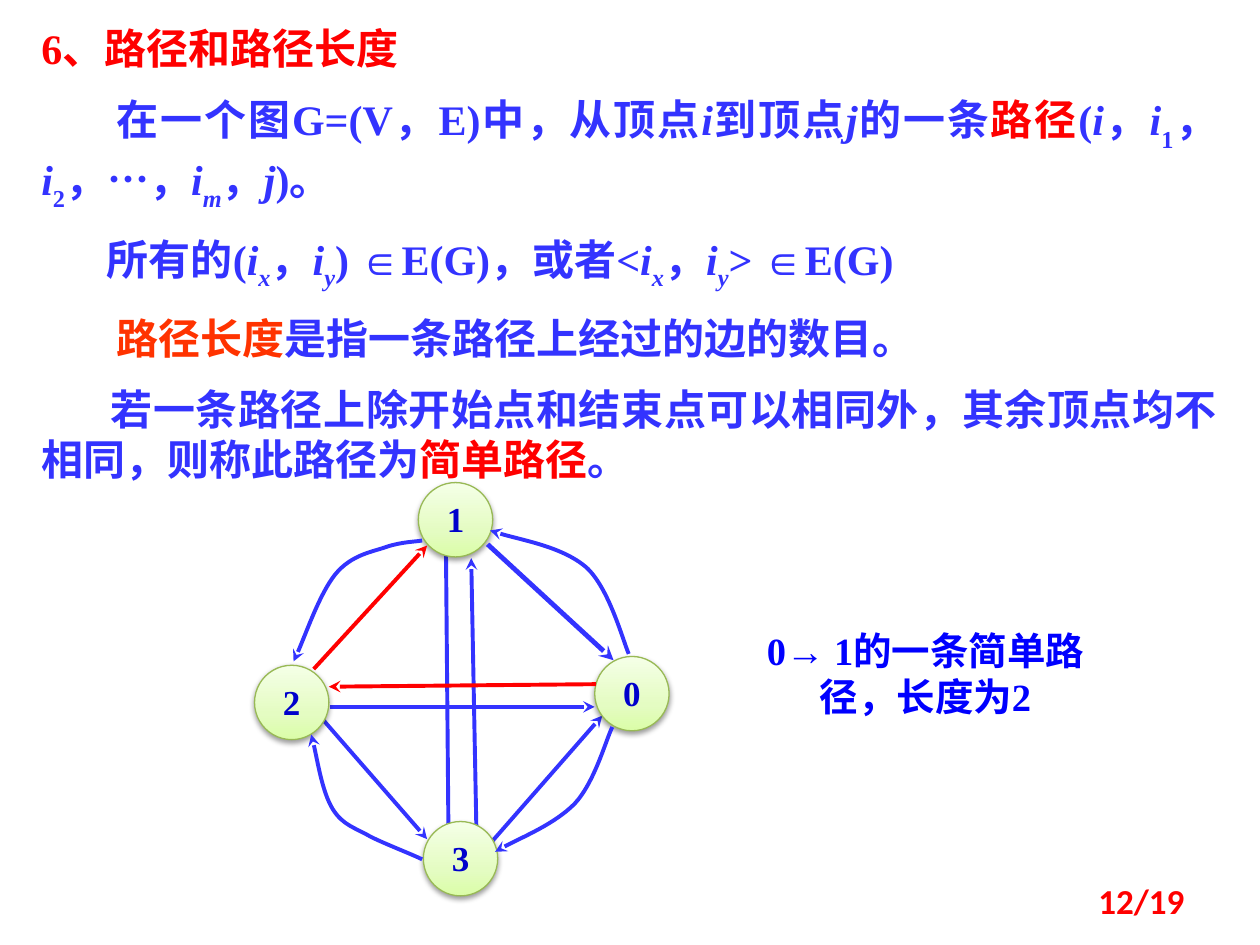
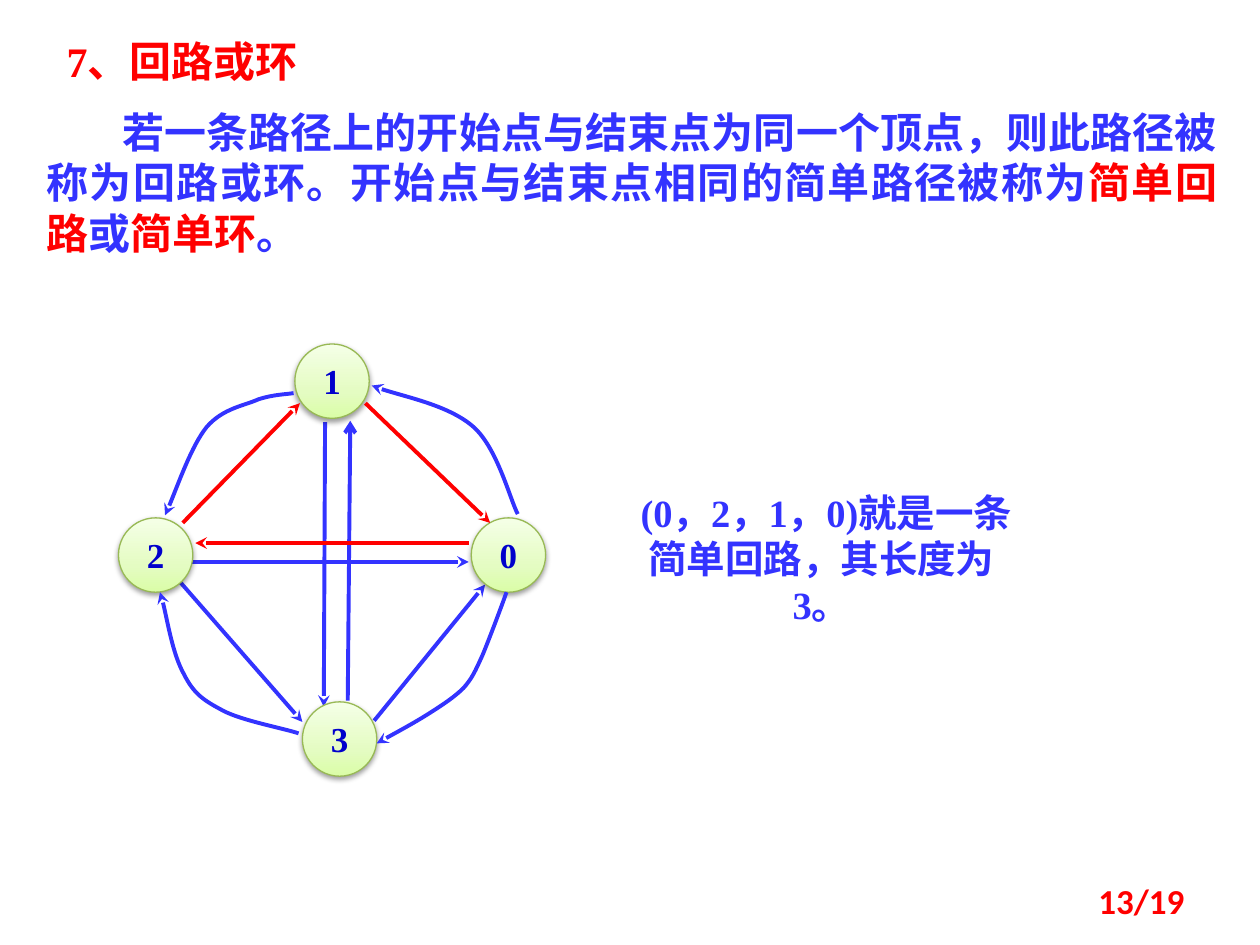
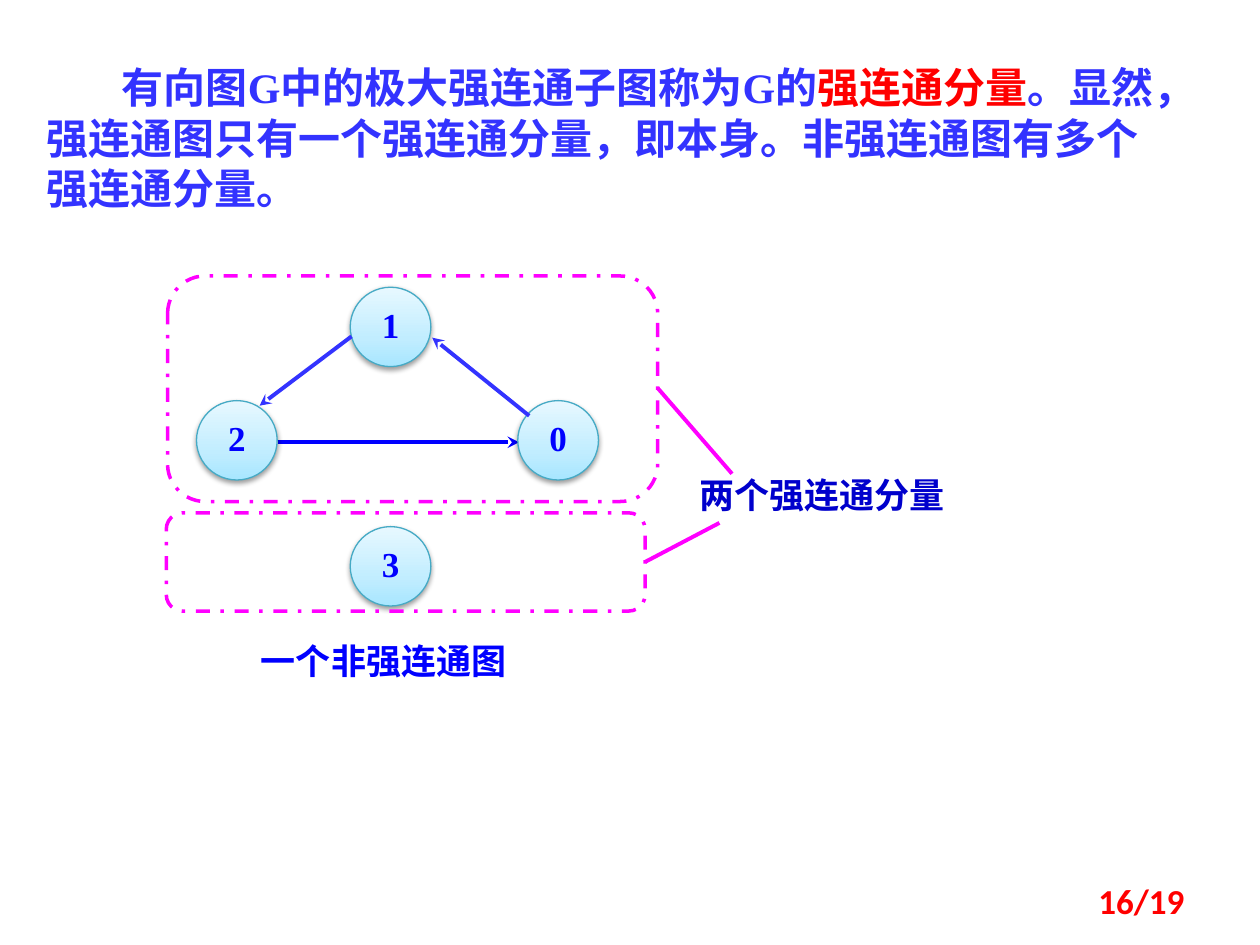
"""Builds three slides on paths, cycles and strong components of graphs."""
from dataclasses import dataclass
from typing import NamedTuple

from lxml import etree
from pptx import Presentation
from pptx import util as u
from pptx.dml.color import RGBColor
from pptx.enum import dml, shapes, text
from pptx.oxml import parse_xml
from pptx.oxml.ns import nsdecls, qn

SERIF, SANS, CJK = "Times New Roman", "Calibri", "Noto Sans CJK SC"
BLUE, RED, DEEP, PURE, PINK = "3333FF", "FF0000", "0000CC", "0000FF", "FF00FF"
ORANGE = "FF3300"
LEFT, MID, RIGHT, FULL = (text.PP_ALIGN.LEFT, text.PP_ALIGN.CENTER,
                          text.PP_ALIGN.RIGHT, text.PP_ALIGN.JUSTIFY)
Point = tuple[float, float]


class Box(NamedTuple):
    left: float
    top: float
    width: float
    height: float


class Run(NamedTuple):
    words: str
    color: str = BLUE
    slant: bool = False
    base: int = 0
    face: str = SERIF


class Para(NamedTuple):
    runs: list[Run]
    indent: float = 0


class Edge(NamedTuple):
    points: list[Point]
    color: str = BLUE
    weight: float = 2.25
    tip: str = "stealth"


class Look(NamedTuple):
    stops: tuple[str, str, str]
    rim: str
    ink: str


@dataclass
class Node:
    label: str
    left: float
    top: float
    width: float = 0.59
    height: float = 0.59


GREEN = Look(("DAFDA7", "E4FCC2", "F5FFE7"), "98B955", DEEP)
AQUA = Look(("A7E6FF", "C1EDFF", "E7F8FF"), "46AAC5", PURE)


def tint(code: str) -> RGBColor:
    """Turn a hex string into a colour."""
    return RGBColor.from_string(code)


def inches(*sizes: float) -> list[u.Length]:
    """Turn numbers into lengths."""
    return [u.Inches(size) for size in sizes]


def add_run(para, run: Run, size: float) -> None:
    """Add one styled run to a paragraph."""
    item = para.add_run()
    item.text = run.words
    font = item.font
    font.size, font.bold, font.name = u.Pt(size), True, run.face
    font.italic = run.slant
    font.color.rgb = tint(run.color)
    etree.SubElement(font._element, qn("a:ea"), typeface=CJK)
    if run.base:
        font._element.set("baseline", str(run.base * 1000))


def add_text(slide, box: Box, paras: list[Para], size: float, align,
             anchor=text.MSO_ANCHOR.TOP) -> None:
    """Draw a wrapped text box."""
    frame = slide.shapes.add_textbox(*inches(*box)).text_frame
    frame.word_wrap = True
    frame.vertical_anchor = anchor
    for index, para in enumerate(paras):
        line = frame.add_paragraph() if index else frame.paragraphs[0]
        line.alignment = align
        if index:
            line.space_before = u.Pt(12)
        if para.indent:
            line._p.get_or_add_pPr().set("indent", str(u.Inches(para.indent)))
        for run in para.runs:
            add_run(line, run, size)


def add_note(slide, box: Box, words: str, color: str, size: float) -> None:
    """Draw a centred caption."""
    add_text(slide, box, [Para([Run(words, color)])], size, MID)


def add_page(slide, number: int) -> None:
    """Draw the page number."""
    run = Run(f"{number}/19", RED, face=SANS)
    add_text(slide, Box(7.17, 6.95, 2.33, 0.4), [Para([run])], 20, RIGHT,
             text.MSO_ANCHOR.MIDDLE)


def add_node(slide, node: Node, look: Look) -> None:
    """Draw a shaded round vertex with its label."""
    shape = slide.shapes.add_shape(
        shapes.MSO_SHAPE.OVAL,
        *inches(node.left, node.top, node.width, node.height))
    shape.line.color.rgb = tint(look.rim)
    shape.line.width = u.Pt(0.75)
    stops = "".join(
        f'<a:gs pos="{spot * 1000}"><a:srgbClr val="{code}"/></a:gs>'
        for spot, code in zip((0, 35, 100), look.stops))
    props = shape._element.spPr
    props.find(qn("a:ln")).addprevious(parse_xml(
        f'<a:gradFill {nsdecls("a")} rotWithShape="1"><a:gsLst>{stops}'
        '</a:gsLst><a:lin ang="16200000" scaled="0"/></a:gradFill>'))
    props.append(parse_xml(
        f'<a:effectLst {nsdecls("a")}><a:outerShdw blurRad="{u.Pt(3.1)}" '
        f'dist="{u.Pt(1.6)}" dir="5400000" rotWithShape="0">'
        '<a:srgbClr val="000000"><a:alpha val="38000"/></a:srgbClr>'
        '</a:outerShdw></a:effectLst>'))
    frame = shape.text_frame
    frame.margin_left = frame.margin_right = frame.margin_bottom = 0
    frame.margin_top = u.Inches(0.12)
    frame.vertical_anchor = text.MSO_ANCHOR.TOP
    para = frame.paragraphs[0]
    para.alignment, para.line_spacing = MID, 0.72
    add_run(para, Run(node.label, look.ink), 20)


def add_curve(slide, points: list[Point]):
    """Draw an open chain of cubic curves through triples of points."""
    spots = [inches(*point) for point in points]
    maker = slide.shapes.build_freeform(*spots[0])
    maker.add_line_segments(spots[1:], close=False)
    shape = maker.convert_to_shape()
    shape.shadow.inherit = False
    shape.fill.background()
    lines = list(shape._element.iter(qn("a:lnTo")))
    for start in range(0, len(lines), 3):
        curve = etree.Element(qn("a:cubicBezTo"))
        lines[start].addprevious(curve)
        for line in lines[start:start + 3]:
            curve.append(line[0])
            line.getparent().remove(line)
    return shape


def add_edge(slide, edge: Edge) -> None:
    """Draw a straight or curved edge with its arrowhead."""
    if len(edge.points) == 2:
        start, end = edge.points
        shape = slide.shapes.add_connector(
            shapes.MSO_CONNECTOR.STRAIGHT, *inches(*start, *end))
        etree.SubElement(shape._element.spPr, qn("a:effectLst"))
    else:
        shape = add_curve(slide, edge.points)
    shape.line.color.rgb = tint(edge.color)
    shape.line.width = u.Pt(edge.weight)
    if edge.tip:
        rule = shape._element.spPr.find(qn("a:ln"))
        etree.SubElement(rule, qn("a:tailEnd"), type=edge.tip)


def add_frame(slide, box: Box) -> None:
    """Draw a dashed round frame about a component."""
    shape = slide.shapes.add_shape(
        shapes.MSO_SHAPE.ROUNDED_RECTANGLE, *inches(*box))
    shape.shadow.inherit = False
    shape.fill.background()
    shape.line.color.rgb = tint(PINK)
    shape.line.width = u.Pt(2)
    shape.line.dash_style = dml.MSO_LINE.DASH_DOT


def add_graph(slide, under: list[Edge], nodes: list[Node], look: Look,
              over: list[Edge]) -> None:
    """Draw edges below the nodes, the nodes, then edges above."""
    for edge in under:
        add_edge(slide, edge)
    for node in nodes:
        add_node(slide, node, look)
    for edge in over:
        add_edge(slide, edge)


def var(name: str, base: str = "", drop: int = -30,
        slant: bool = False) -> list[Run]:
    """Give the runs of a slanted variable and its subscript."""
    runs = [Run(name, slant=True)]
    return runs + [Run(base, slant=slant, base=drop)] if base else runs


def pair() -> list[Run]:
    """Give the runs of the two ends of an edge."""
    return [*var("i", "x", -25, True), Run("，"), *var("i", "y", -25, True)]


def draw_paths(slide) -> None:
    """Draw the slide on paths and their length."""
    add_text(slide, Box(0.23, 0.13, 9.53, 3.86), [
        Para([Run("6、路径和路径长度", RED)]),
        Para([Run("在一个图G=(V，E)中，从顶点"), *var("i"), Run("到顶点"),
              *var("j"), Run("的一条"), Run("路径", RED), Run("("),
              *var("i"), Run("，"), *var("i", "1"), Run("，"),
              *var("i", "2"), Run("，"), Run("…", face=CJK), Run("，"),
              *var("i", "m", slant=True), Run("，"), *var("j"),
              Run(")。")], 0.6),
        Para([Run("所有的("), *pair(), Run(") ∈E(G)，或者<"), *pair(),
              Run("> ∈E(G)")], 0.52),
        Para([Run("路径长度", ORANGE),
              Run("是指一条路径上经过的边的数目。")], 0.6),
        Para([Run("若一条路径上除开始点和结束点可以相同外，其余顶点均不"
                  "相同，则称此路径为"), Run("简单路径", RED), Run("。")],
             0.55),
    ], 24, FULL)
    add_graph(slide, [
        Edge([(3.54, 4.41), (3.56, 6.7)], tip="arrow"),
        Edge([(3.79, 7.05), (3.74, 4.43)]),
        Edge([(2.62, 5.61), (4.72, 5.61)]),
        Edge([(2.37, 5.49), (3.39, 6.66)]),
        Edge([(3.79, 6.81), (4.78, 5.68)]),
    ], [Node("1", 3.32, 3.83), Node("0", 4.72, 5.21),
        Node("2", 2.02, 5.28), Node("3", 3.36, 6.52)], GREEN, [
        Edge([(4.86, 5.77), (4.81, 5.87), (4.72, 6.21), (4.56, 6.38),
              (4.4, 6.54), (4.06, 6.68), (3.93, 6.76)]),
        Edge([(3.35, 4.29), (3.3, 4.3), (3.19, 4.3), (3.07, 4.34),
              (2.96, 4.38), (2.79, 4.4), (2.66, 4.56),
              (2.54, 4.71), (2.4, 5.11), (2.33, 5.25)]),
        Edge([(3.35, 6.82), (3.27, 6.78), (3.06, 6.7), (2.94, 6.64),
              (2.82, 6.57), (2.72, 6.55), (2.64, 6.42),
              (2.56, 6.29), (2.5, 5.93), (2.47, 5.83)]),
        Edge([(4.99, 5.19), (4.94, 5.07), (4.83, 4.66), (4.65, 4.5),
              (4.46, 4.34), (4.05, 4.27), (3.89, 4.21)]),
        Edge([(4.73, 5.43), (2.61, 5.45)], RED),
        Edge([(2.49, 5.31), (3.39, 4.33)], RED),
        Edge([(3.87, 4.32), (4.87, 5.24)], weight=2.75),
    ])
    add_note(slide, Box(5.94, 4.93, 2.81, 0.84),
             "0→ 1的一条简单路径，长度为2", PURE, 22)


def draw_cycles(slide) -> None:
    """Draw the slide on cycles."""
    add_text(slide, Box(0.27, 0.23, 9.49, 1.92), [
        Para([Run("7、回路或环", RED)], 0.16),
        Para([Run("若一条路径上的开始点与结束点为同一个顶点，则此路径被"
                  "称为回路或环。开始点与结束点相同的简单路径被称为"),
              Run("简单回路", RED), Run("或"), Run("简单环", RED),
              Run("。")], 0.6),
    ], 24, FULL)
    add_graph(slide, [
        Edge([(2.58, 3.35), (2.57, 5.61)]),
        Edge([(2.76, 5.56), (2.78, 3.34)], tip="arrow"),
        Edge([(1.52, 4.46), (3.72, 4.46)]),
        Edge([(1.43, 4.62), (2.4, 5.73)]),
        Edge([(2.97, 5.72), (3.85, 4.64)]),
    ], [Node("1", 2.34, 2.73), Node("0", 3.74, 4.11),
        Node("2", 0.94, 4.11), Node("3", 2.4, 5.57)], GREEN, [
        Edge([(4.02, 4.7), (3.99, 4.79), (3.88, 5.08), (3.83, 5.2),
              (3.77, 5.33), (3.75, 5.38), (3.68, 5.46),
              (3.61, 5.53), (3.52, 5.59), (3.41, 5.66),
              (3.3, 5.73), (3.08, 5.85), (2.99, 5.9)]),
        Edge([(2.33, 3.12), (2.28, 3.13), (2.17, 3.13), (2.05, 3.17),
              (1.94, 3.22), (1.77, 3.24), (1.64, 3.39),
              (1.52, 3.54), (1.38, 3.94), (1.31, 4.09)]),
        Edge([(2.37, 5.82), (2.25, 5.78), (1.92, 5.72), (1.77, 5.64),
              (1.62, 5.56), (1.54, 5.51), (1.46, 5.35),
              (1.37, 5.19), (1.31, 4.81), (1.27, 4.7)]),
        Edge([(4.11, 4.08), (4.05, 3.97), (3.95, 3.56), (3.76, 3.39),
              (3.57, 3.22), (3.12, 3.13), (2.95, 3.06)]),
        Edge([(3.72, 4.31), (1.55, 4.31)], RED),
        Edge([(1.45, 4.15), (2.38, 3.2)], RED),
        Edge([(2.9, 3.2), (3.89, 4.15)], RED),
    ])
    add_note(slide, Box(4.84, 3.83, 3.36, 0.84),
             " (0，2，1，0)就是一条简单回路，其长度为3。", BLUE, 22)


def draw_parts(slide) -> None:
    """Draw the slide on strong components."""
    add_text(slide, Box(0.27, 0.44, 9.1, 1.31), [
        Para([Run("有向图G中的极大强连通子图称为G的"),
              Run("强连通分量", RED),
              Run("。显然，强连通图只有一个强连通分量，即本身。"
                  "非强连通图有多个强连通分量。")], 0.6),
    ], 24, LEFT)
    size = (0.64, 0.63)
    add_graph(slide, [Edge([(2.21, 3.51), (4.12, 3.51)], PURE)], [
        Node("1", 2.78, 2.28, *size), Node("0", 4.11, 3.18, *size),
        Node("2", 1.56, 3.18, *size), Node("3", 2.78, 4.18, *size),
    ], AQUA, [
        Edge([(2.79, 2.67), (2.06, 3.22)]),
        Edge([(4.2, 3.3), (3.43, 2.68)]),
    ])
    add_note(slide, Box(1.95, 5.03, 2.19, 0.44), "一个非强连通图", PURE, 20)
    add_note(slide, Box(5.39, 3.71, 2.27, 0.44), "两个强连通分量", DEEP, 20)
    add_frame(slide, Box(1.33, 2.19, 3.89, 1.79))
    add_frame(slide, Box(1.32, 4.07, 3.8, 0.78))
    add_edge(slide, Edge([(5.22, 3.08), (5.81, 3.76)], PINK, tip=""))
    add_edge(slide, Edge([(5.12, 4.46), (5.71, 4.15)], PINK, tip=""))


def main() -> None:
    """Build and save the deck."""
    deck = Presentation()
    deck.slide_width, deck.slide_height = inches(10, 7.5)
    for draw, page in ((draw_paths, 12), (draw_cycles, 13),
                       (draw_parts, 16)):
        slide = deck.slides.add_slide(deck.slide_layouts[6])
        draw(slide)
        add_page(slide, page)
    deck.save("out.pptx")


main()
